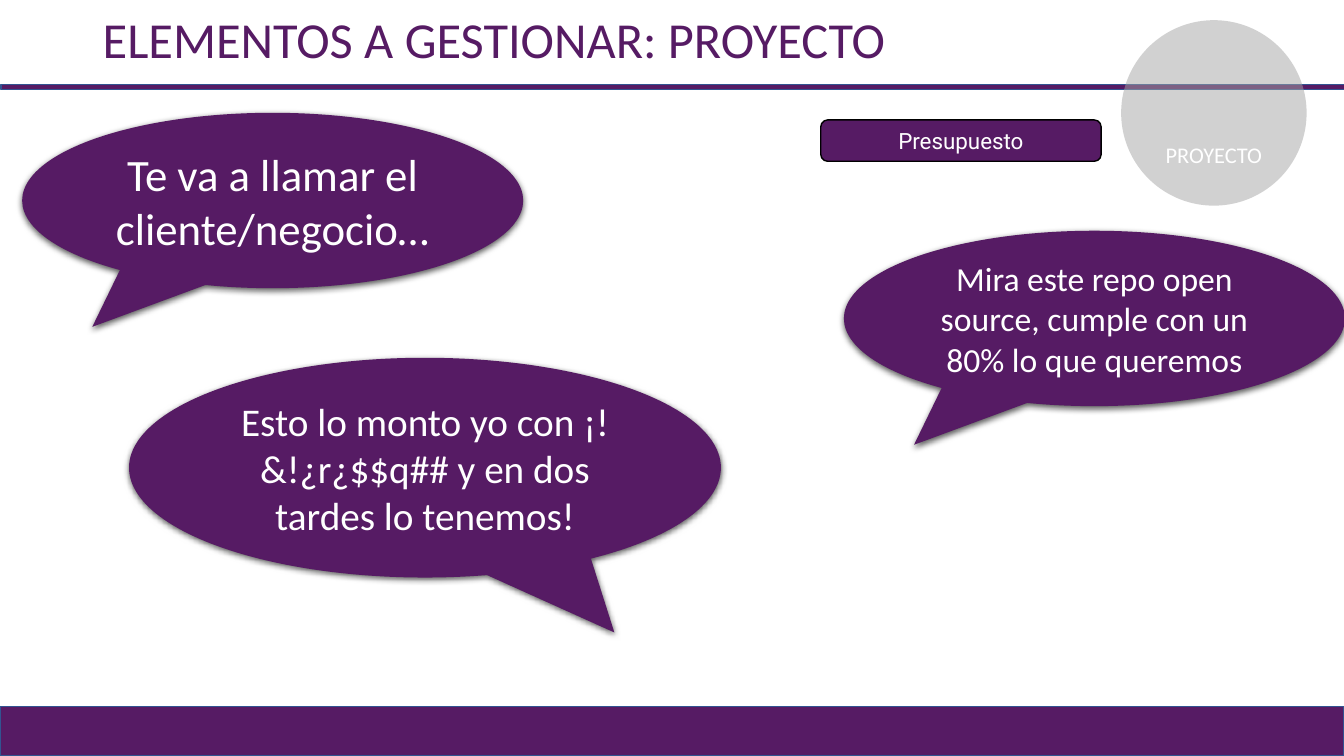
"""Build the project-management slide with speech callouts."""
import pptx
import pptx.util
import pptx.dml.color
import pptx.enum.shapes
import pptx.enum.text
import pptx.oxml.ns
from lxml import etree

WIDTH = pptx.util.Inches(13.33)
HEIGHT = pptx.util.Inches(7.5)
COLORS = {
    "purple": "561B64",
    "blue": "325491",
    "gray": "A5A5A5",
    "black": "000000",
    "white": "FFFFFF",
}
SHAPES = pptx.enum.shapes.MSO_SHAPE
ALIGN = pptx.enum.text.PP_ALIGN


def rgb(name):
    """Return a palette colour."""
    return pptx.dml.color.RGBColor.from_string(COLORS[name])


def place(box):
    """Turn percentages of the slide into left, top, width and height."""
    left, top, width, height = box
    return [int(share * size / 100) for share, size in
            ((left, WIDTH), (top, HEIGHT), (width, WIDTH), (height, HEIGHT))]


def add_child(parent, tag, **attributes):
    """Append a DrawingML element to a parent."""
    child = etree.SubElement(parent, pptx.oxml.ns.qn(tag))
    for name, value in attributes.items():
        child.set(name, str(value))
    return child


def write(sp, text, size, color="white", font="Calibri", align=ALIGN.CENTER):
    """Write one wrapped, vertically centred paragraph."""
    tf = sp.text_frame
    tf.text = text
    tf.word_wrap = True
    tf.vertical_anchor = pptx.enum.text.MSO_ANCHOR.MIDDLE
    p = tf.paragraphs[0]
    p.alignment = align
    r = p.runs[0]
    r.font.size = pptx.util.Pt(size)
    r.font.name = font
    r.font.color.rgb = rgb(color)
    return p


def add_shape(s, kind, box, fill="purple", line=None):
    """Add a flat shape with an optional one-point outline."""
    sp = s.shapes.add_shape(kind, *place(box))
    sp.shadow.inherit = False
    sp.fill.solid()
    sp.fill.fore_color.rgb = rgb(fill)
    if line:
        sp.line.color.rgb = rgb(line)
        sp.line.width = pptx.util.Pt(1)
    else:
        sp.line.fill.background()
    return sp


def add_title(s, text):
    """Add the slide heading."""
    sp = s.shapes.add_textbox(*place((6.9, 1.2, 86.27, 8.8)))
    p = write(sp, text, 36, "purple", align=ALIGN.LEFT)
    p.line_spacing = 0.9


def add_badge(s, text):
    """Add the translucent circle with its label below the centre."""
    sp = add_shape(s, SHAPES.FLOWCHART_CONNECTOR, (83.42, 2.67, 13.8, 24.53), "gray")
    color = sp._element.spPr.find(".//" + pptx.oxml.ns.qn("a:srgbClr"))
    add_child(color, "a:alpha", val=50000)
    write(sp, text, 16)
    sp.text_frame.margin_top = pptx.util.Inches(0.87)


def add_callout(s, text, size, box, tail):
    """Add a speech bubble with a soft shadow and a tail."""
    sp = add_shape(s, SHAPES.OVAL_CALLOUT, box)
    sp.adjustments[0], sp.adjustments[1] = tail
    effects = sp._element.spPr.find(pptx.oxml.ns.qn("a:effectLst"))
    shadow = add_child(effects, "a:outerShdw", blurRad=pptx.util.Pt(4.5),
                       dist=pptx.util.Pt(1.5), dir=5400000, algn="ctr", rotWithShape=0)
    color = add_child(shadow, "a:srgbClr", val=COLORS["black"])
    add_child(color, "a:alpha", val=63000)
    write(sp, text, size)


def main():
    """Compose and save the slide."""
    prs = pptx.Presentation()
    prs.slide_width, prs.slide_height = WIDTH, HEIGHT
    s = prs.slides.add_slide(prs.slide_layouts[6])

    for band in ((0, 93.47, 100, 6.53), (0.08, 11.2, 100, 0.67)):
        add_shape(s, SHAPES.RECTANGLE, band, line="blue")
    add_title(s, "ELEMENTOS A GESTIONAR: PROYECTO")
    add_badge(s, "PROYECTO")
    budget = add_shape(s, SHAPES.ROUNDED_RECTANGLE, (61.07, 15.87, 20.86, 5.47), line="black")
    write(budget, "Presupuesto", 16, font="Roboto")

    callouts = (
        ("Mira este repo open source, cumple con un 80% lo que queremos", 24,
         (62.79, 30.53, 37.28, 23.2), (-0.36, 0.72)),
        ("Esto lo monto yo con ¡!&!¿r¿$$q## y en dos tardes lo tenemos!", 28,
         (9.6, 47.33, 44.04, 29.07), (0.32, 0.75)),
        ("Te va a llamar el cliente/negocio…", 32,
         (1.65, 14.93, 37.28, 23.2), (-0.36, 0.72)),
    )
    for text, size, box, tail in callouts:
        add_callout(s, text, size, box, tail)

    prs.save("out.pptx")


if __name__ == "__main__":
    main()
